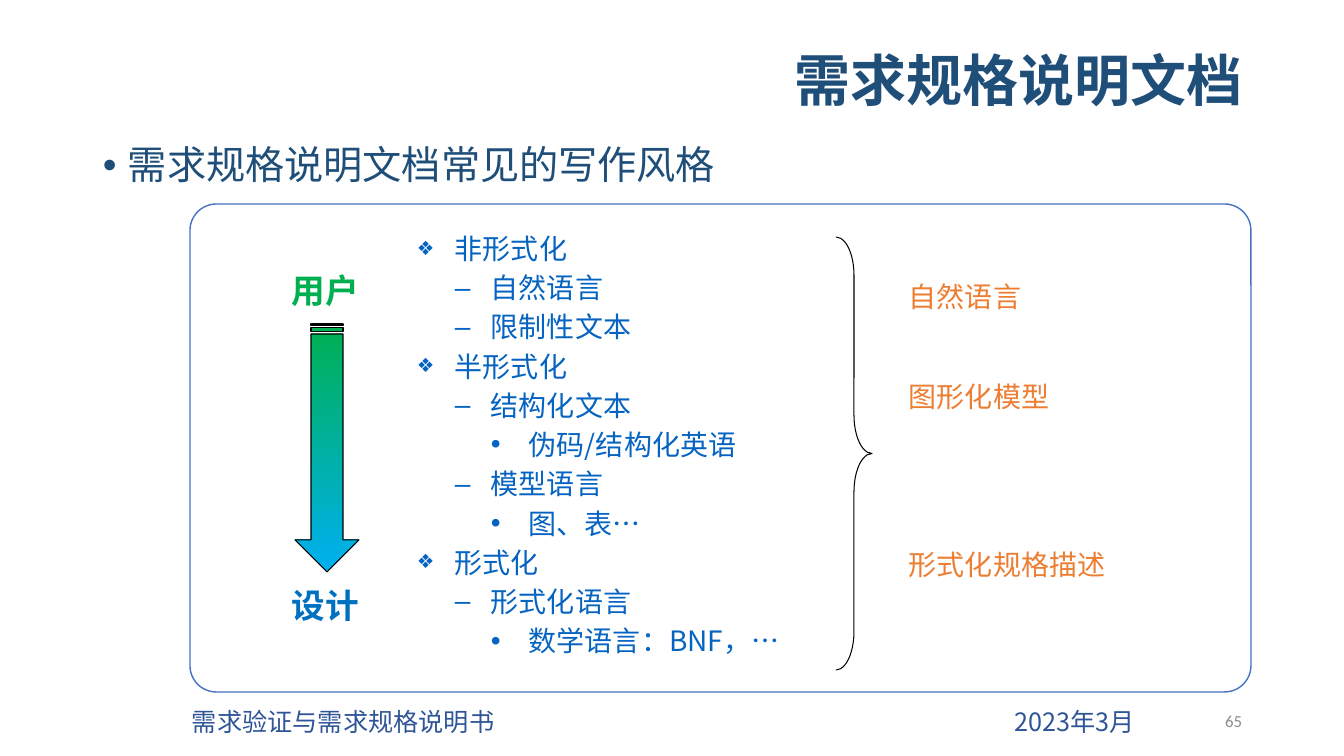
from lxml import etree
from pptx import Presentation
from pptx.dml.color import RGBColor
from pptx.enum.shapes import MSO_SHAPE
from pptx.enum.text import MSO_ANCHOR, PP_ALIGN
from pptx.oxml.ns import qn
from pptx.util import Pt

PX = 914400 / 100.8
LEFT, RIGHT = PP_ALIGN.LEFT, PP_ALIGN.RIGHT
TOP, MIDDLE = MSO_ANCHOR.TOP, MSO_ANCHOR.MIDDLE

NAVY = RGBColor(0x1F, 0x4E, 0x79)
FOOTER_BLUE = RGBColor(0x2F, 0x55, 0x97)
FRAME_BLUE = RGBColor(0x44, 0x72, 0xC4)
OUTLINE_BLUE = RGBColor(0x05, 0x63, 0xC1)
DESIGN_BLUE = RGBColor(0x00, 0x70, 0xC0)
SKY = RGBColor(0x00, 0xB0, 0xF0)
GREEN = RGBColor(0x00, 0xB0, 0x50)
ORANGE = RGBColor(0xED, 0x7D, 0x31)
GRAY = RGBColor(0x8C, 0x8C, 0x8C)
BLACK = RGBColor(0x00, 0x00, 0x00)
WHITE = RGBColor(0xFF, 0xFF, 0xFF)

SC, JP = "Noto Sans CJK SC", "Noto Sans CJK JP"

prs = Presentation()
prs.slide_width, prs.slide_height = round(1344 * PX), round(756 * PX)
slide = prs.slides.add_slide(prs.slide_layouts[6])


def add_text(box, lines, size, color, font=SC, bold=False, align=LEFT,
             anchor=TOP, inset_top=5, spacing=None, wrap=True):
    """Each line is (text, space before in points, bullet or None);
    a bullet is (character, size %, left margin px, hanging px)."""
    frame = slide.shapes.add_textbox(*[round(v * PX) for v in box]).text_frame
    frame.word_wrap, frame.vertical_anchor = wrap, anchor
    frame.margin_top = round(inset_top * PX)
    for i, (text, before, bullet) in enumerate(lines):
        para = frame.add_paragraph() if i else frame.paragraphs[0]
        if bullet:
            char, percent, margin, hanging = bullet
            props = para._p.get_or_add_pPr()
            props.set("marL", str(round(margin * PX)))
            props.set("indent", str(round(-hanging * PX)))
            etree.SubElement(props, qn("a:buSzPct"), val=str(percent * 1000))
            etree.SubElement(props, qn("a:buFont"), typeface="Arial")
            etree.SubElement(props, qn("a:buChar"), char=char)
        para.alignment, para.space_before = align, Pt(before)
        if spacing:
            para.line_spacing = spacing
        run = para.add_run()
        run.text = text
        run.font.size, run.font.bold, run.font.name = Pt(size), bold, font
        run.font.color.rgb = color
        east_asian = font if font in (SC, JP) else SC
        etree.SubElement(run._r.rPr, qn("a:ea"), typeface=east_asian)


def add_outline(kind, box, line_color, width):
    shape = slide.shapes.add_shape(kind, *[round(v * PX) for v in box])
    shape.shadow.inherit = False
    shape.line.color.rgb, shape.line.width = line_color, Pt(width)
    return shape


# Footer
add_text((182, 701, 400, 40), [("需求验证与需求规格说明书", 0, None)],
         18, FOOTER_BLUE, anchor=MIDDLE)
add_text((945, 701, 200, 40), [("2023年3月", 0, None)],
         18, FOOTER_BLUE, align=RIGHT, anchor=MIDDLE)
add_text((950, 701, 302, 40), [("65", 0, None)], 12, GRAY,
         font="Calibri", align=RIGHT, anchor=MIDDLE)

# Title and lead line
add_text((93, 31, 1159, 105), [("需求规格说明文档", 0, None)], 40, NAVY,
         bold=True, align=RIGHT, anchor=MIDDLE, spacing=0.9)
add_text((93, 146, 1159, 535),
         [("需求规格说明文档常见的写作风格", 0, ("•", 100, 25, 25))],
         28, NAVY, font=JP, inset_top=0, spacing=0.9)

# Frame around the styles
frame_box = add_outline(MSO_SHAPE.ROUNDED_RECTANGLE, (190, 204, 1061, 488),
                        FRAME_BLUE, 1)
frame_box.adjustments[0] = 0.054
frame_box.fill.solid()
frame_box.fill.fore_color.rgb = WHITE

# Outline of writing styles
LEVELS = [("❖", 70, 38, 38), ("–", 100, 74, 36), ("•", 100, 112, 38)]
styles = [
    (0, "非形式化"), (1, "自然语言"), (1, "限制性文本"),
    (0, "半形式化"), (1, "结构化文本"), (2, "伪码/结构化英语"),
    (1, "模型语言"), (2, "图、表…"),
    (0, "形式化"), (1, "形式化语言"), (2, "数学语言：BNF，…"),
]
add_text((407, 224, 756, 477),
         [(text, 0, LEVELS[level]) for level, text in styles],
         20, OUTLINE_BLUE, inset_top=2, spacing=Pt(28))

# Brace and the forms it leads to
brace = add_outline(MSO_SHAPE.RIGHT_BRACE, (836, 237, 36, 433), BLACK, 0.75)
brace.adjustments[0] = 1.066
brace.fill.background()
add_text((899, 271, 233, 318),
         [("自然语言", 0, None), ("图形化模型", 48, None),
          ("形式化规格描述", 96, None)],
         20, ORANGE, inset_top=8, spacing=Pt(24))

# Arrow from user to design
arrow = add_outline(MSO_SHAPE.STRIPED_RIGHT_ARROW, (203, 416, 248, 64),
                    BLACK, 0.75)
arrow.rotation = 90
arrow.fill.gradient()
arrow.fill.gradient_angle = 0
for stop, color in zip(arrow.fill.gradient_stops, (GREEN, SKY)):
    stop.color.rgb = color
for label, top, color in (("用户", 265, GREEN), ("设计", 580, DESIGN_BLUE)):
    add_text((282, top, 89, 51), [(label, 0, None)], 24, color,
             font="Times New Roman", bold=True, anchor=MIDDLE, wrap=False)

prs.save("out.pptx")
